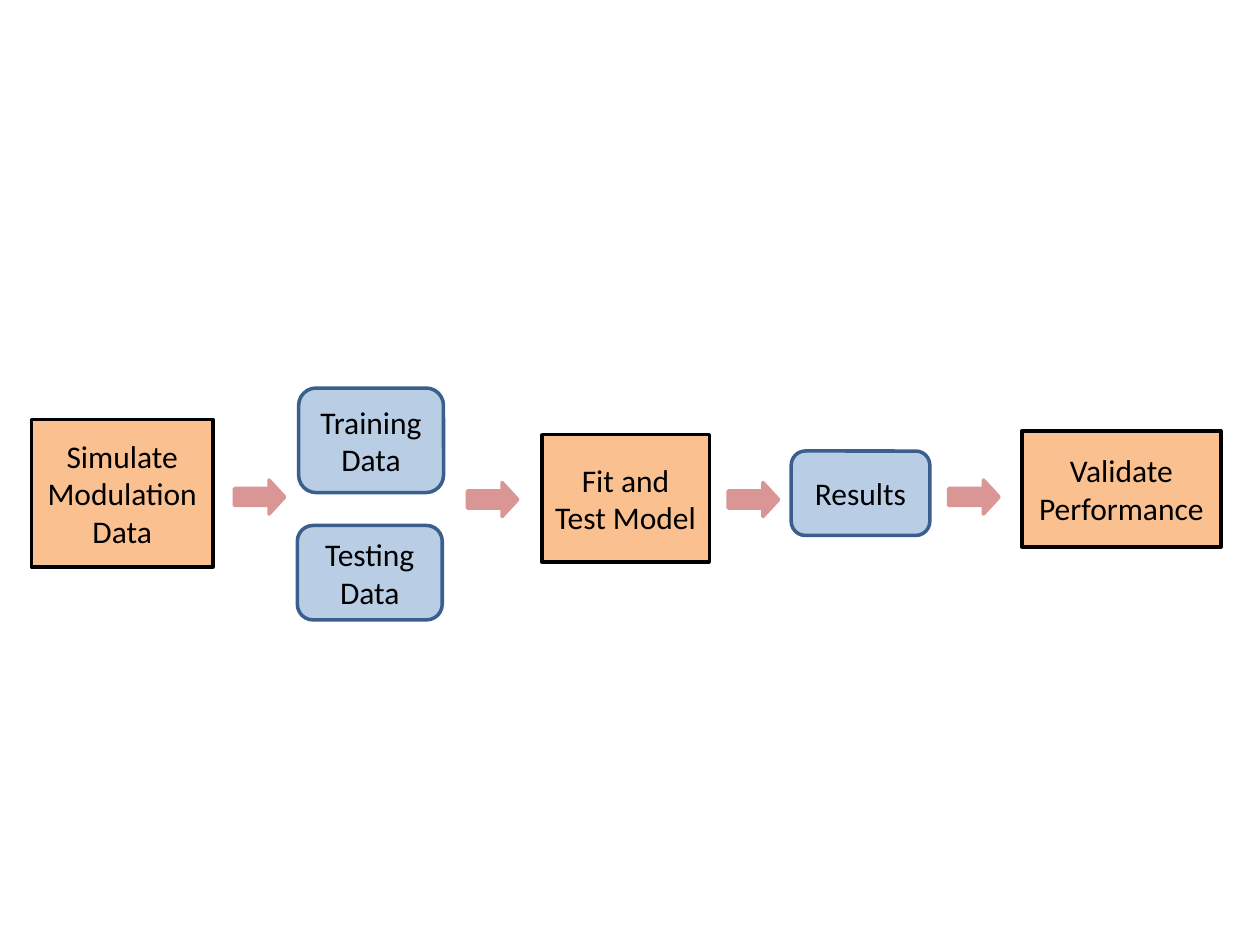
from pptx import Presentation
from pptx.dml.color import RGBColor
from pptx.enum.shapes import MSO_SHAPE
from pptx.enum.text import MSO_ANCHOR, PP_ALIGN
from pptx.util import Inches, Pt

BLACK = RGBColor(0x00, 0x00, 0x00)
ORANGE = RGBColor(0xFA, 0xC0, 0x90)
BLUE = RGBColor(0xB9, 0xCD, 0xE5)
NAVY = RGBColor(0x3A, 0x5F, 0x8C)
ROSE = RGBColor(0xD9, 0x96, 0x94)

STYLES = {
    "step": (MSO_SHAPE.RECTANGLE, ORANGE, BLACK),
    "data": (MSO_SHAPE.FLOWCHART_ALTERNATE_PROCESS, BLUE, NAVY),
    "arrow": (MSO_SHAPE.RIGHT_ARROW, ROSE, ROSE),
}
BOXES = [
    ("step", "Simulate Modulation Data", (0.25, 3.33, 1.44, 1.17)),
    ("data", "Training Data", (2.37, 3.08, 1.15, 0.83)),
    ("data", "Testing Data", (2.36, 4.17, 1.15, 0.75)),
    ("step", "Fit and Test Model", (4.3, 3.45, 1.33, 1.01)),
    ("data", "Results", (6.28, 3.58, 1.1, 0.67)),
    ("step", "Validate Performance", (8.11, 3.42, 1.58, 0.92)),
]
ARROWS = [(1.86, 3.81), (3.71, 3.83), (5.78, 3.83), (7.53, 3.81)]
ARROW_SIZE = (0.4, 0.27)

deck = Presentation()
deck.slide_width, deck.slide_height = Inches(10), Inches(7.5)
slide = deck.slides.add_slide(deck.slide_layouts[6])


def add_part(style, place):
    kind, fill, edge = STYLES[style]
    part = slide.shapes.add_shape(kind, *map(Inches, place))
    part.shadow.inherit = False
    part.fill.solid()
    part.fill.fore_color.rgb = fill
    part.line.color.rgb = edge
    part.line.width = Pt(2)
    return part


for style, label, place in BOXES:
    frame = add_part(style, place).text_frame
    frame.word_wrap = True
    frame.vertical_anchor = MSO_ANCHOR.MIDDLE
    para = frame.paragraphs[0]
    para.text = label
    para.alignment = PP_ALIGN.CENTER
    para.font.name = "Calibri"
    para.font.size = Pt(18)
    para.font.color.rgb = BLACK

for spot in ARROWS:
    arrow = add_part("arrow", spot + ARROW_SIZE)
    arrow.adjustments[1] = 0.46

deck.save("out.pptx")
